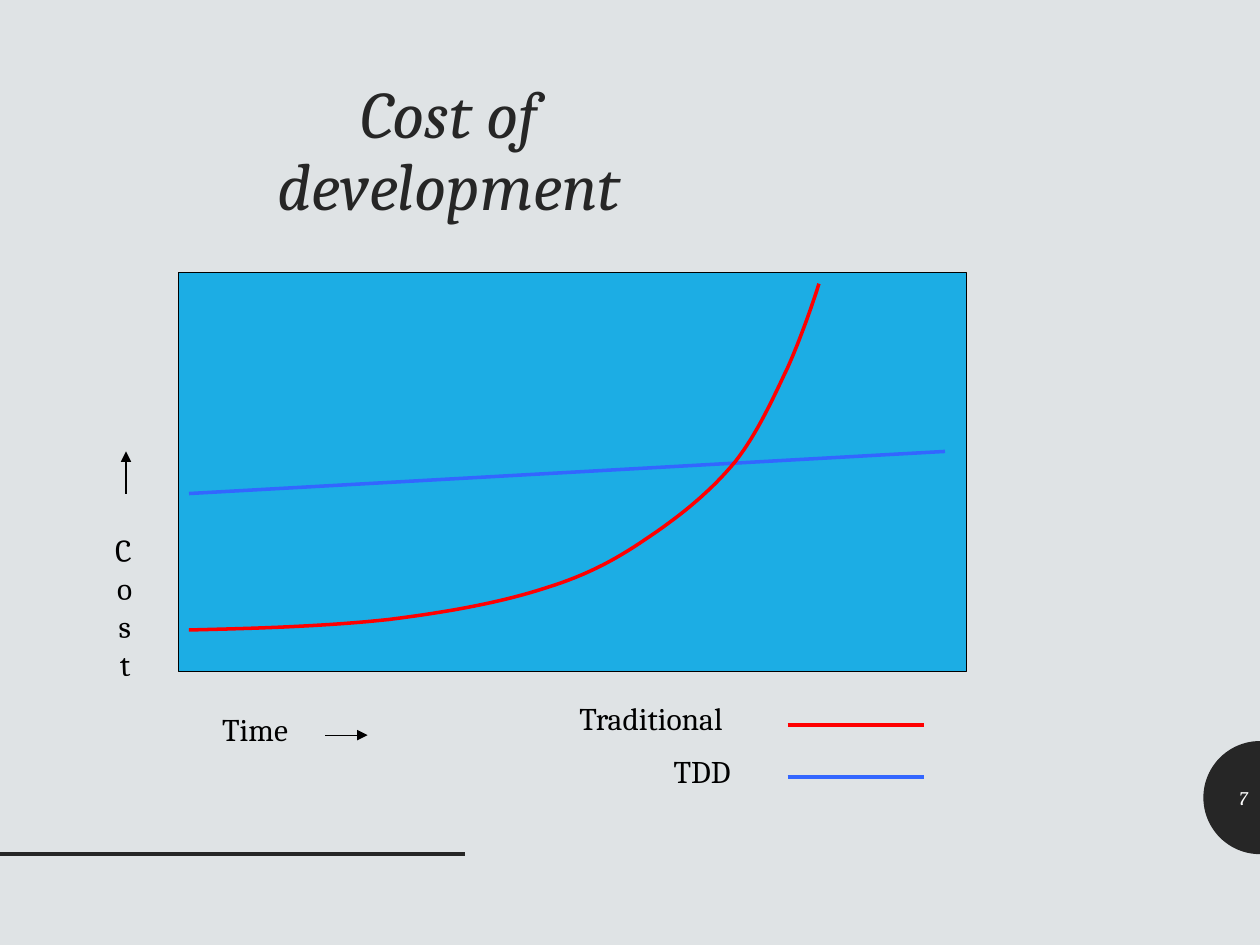
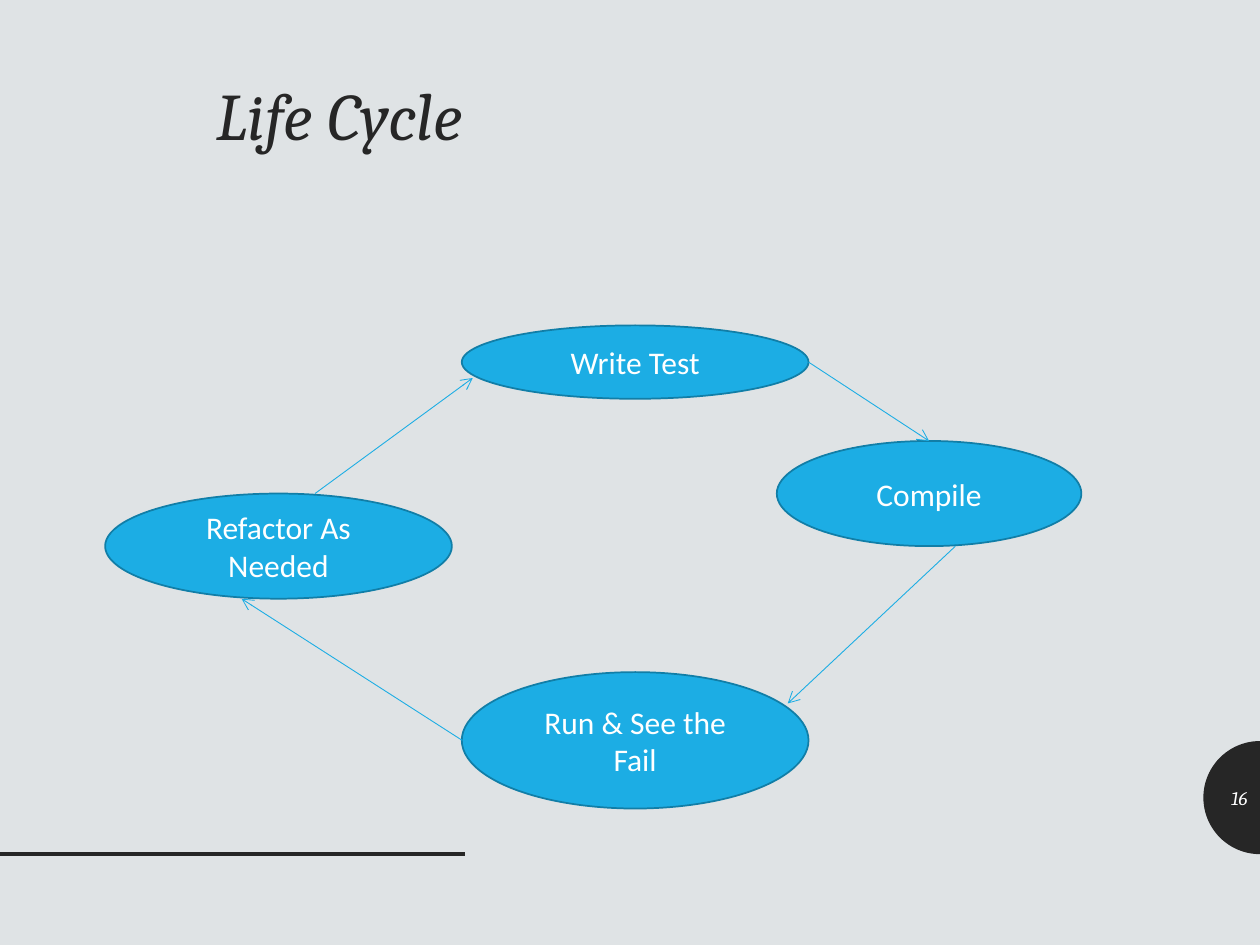
from math import cos, pi, sin

from lxml.etree import SubElement
from pptx import Presentation
from pptx.dml.color import RGBColor
from pptx.enum.shapes import MSO_CONNECTOR as CONN, MSO_SHAPE as SHAPE
from pptx.enum.text import MSO_ANCHOR as ANCHOR, PP_ALIGN as ALIGN
from pptx.oxml.ns import qn
from pptx.util import Cm, Pt

rgb = RGBColor.from_string
PAPER, INK, BLACK, WHITE = "DFE3E5", "262626", "000000", "FFFFFF"
SKY, RIM, RED, BLUE = "1CADE4", "117EA7", "FF0000", "3366FF"
TITLE = {"size": Pt(38), "name": "Cambria", "italic": True}
NUMBER = {"size": Pt(11), "name": "Cambria", "italic": True}
LABEL = {"size": Pt(18), "name": "Cambria"}
STEP = {"size": Pt(18), "name": "Calibri"}


def write(sp, text, fmt, color, align=ALIGN.LEFT, anchor=ANCHOR.TOP):
    tf = sp.text_frame
    tf.word_wrap = True
    tf.vertical_anchor = anchor
    p = tf.paragraphs[0]
    p.alignment = align
    r = p.add_run()
    r.text = text
    for key, value in fmt.items():
        setattr(r.font, key, value)
    r.font.color.rgb = rgb(color)
    return p


def draw_line(s, ends, color, width, head=None):
    c = s.shapes.add_connector(CONN.STRAIGHT, *map(Cm, ends))
    c.line.color.rgb = rgb(color)
    c.line.width = Pt(width)
    spPr = c._element.spPr
    if head:
        SubElement(spPr.find(qn("a:ln")), qn("a:tailEnd"), type=head)
    SubElement(spPr, qn("a:effectLst"))


prs = Presentation()
prs.slide_width, prs.slide_height = Cm(25.4), Cm(19.05)

pages = [
    ("Cost of development", "7", (3.81, 1.52, 10.49, 3.3), ALIGN.CENTER),
    ("Life Cycle", "16", (1.6, 1.55, 7.98, 13.74), ALIGN.RIGHT),
]
radius, disc_y = 1.14, 16.08
arc = [(Cm(25.4 - radius * sin(pi * i / 48)), Cm(disc_y + radius * cos(pi * i / 48)))
       for i in range(49)]
for title, number, box, align in pages:
    s = prs.slides.add_slide(prs.slide_layouts[6])
    s.background.fill.solid()
    s.background.fill.fore_color.rgb = rgb(PAPER)
    fb = s.shapes.build_freeform(*arc[0])
    fb.add_line_segments(arc[1:], close=True)
    disc = fb.convert_to_shape()
    disc.shadow.inherit = False
    disc.fill.solid()
    disc.fill.fore_color.rgb = rgb(INK)
    disc.line.fill.background()
    draw_line(s, (0, 17.22, 9.37, 17.22), INK, 2)
    p = write(s.shapes.add_textbox(*map(Cm, box)), title, TITLE, INK, align)
    p.line_spacing = 0.9
    sp = s.shapes.add_textbox(Cm(24.26), Cm(15.57), Cm(radius), Cm(1.02))
    write(sp, number, NUMBER, WHITE, ALIGN.RIGHT, ANCHOR.MIDDLE)

cost, cycle = prs.slides

plot = cost.shapes.add_shape(SHAPE.RECTANGLE, Cm(3.6), Cm(5.5), Cm(15.88), Cm(8.04))
plot.shadow.inherit = False
plot.fill.solid()
plot.fill.fore_color.rgb = rgb(SKY)
plot.line.color.rgb = rgb(BLACK)
plot.line.width = Pt(0.75)

labels = [
    ("Time", (4.23, 14.18, 5.54, 1.02), 0),
    ("Cost", (2.12, 10.58, 0.85, 3.3), -2.3),
    ("Traditional", (11.43, 13.97, 4.23, 1.02), 0),
    ("TDD", (13.33, 15.03, 2.12, 1.02), 0),
]
for text, box, angle in labels:
    sp = cost.shapes.add_textbox(*map(Cm, box))
    sp.rotation = angle
    write(sp, text, LABEL, BLACK)

draw_line(cost, (3.81, 9.95, 19.05, 9.1), BLUE, 2)
for axis in [(2.54, 9.95, 2.54, 9.1), (6.56, 14.82, 7.41, 14.82)]:
    draw_line(cost, axis, BLACK, 0.75, "triangle")
for y, color in [(14.61, RED), (15.66, BLUE)]:
    draw_line(cost, (15.88, y, 18.63, y), color, 2)

knots = [
    (3.81, 12.7), (5.23, 12.67), (6.63, 12.62), (7.83, 12.49),
    (9.04, 12.34), (10.13, 12.14), (11.01, 11.85),
    (11.89, 11.58), (12.5, 11.23), (13.12, 10.8),
    (13.77, 10.36), (14.35, 9.88), (14.82, 9.31),
    (15.27, 8.74), (15.6, 8), (15.88, 7.41),
    (16.15, 6.81), (16.43, 5.99), (16.51, 5.72),
]
points = []
for i in range(0, len(knots) - 1, 3):
    for t in [n / 16 for n in range(1, 17)]:
        weights = ((1 - t) ** 3, 3 * t * (1 - t) ** 2, 3 * t ** 2 * (1 - t), t ** 3)
        points.append([Cm(sum(w * k for w, k in zip(weights, axis)))
                       for axis in zip(*knots[i:i + 4])])
fb = cost.shapes.build_freeform(*map(Cm, knots[0]))
fb.add_line_segments(points, close=False)
curve = fb.convert_to_shape()
curve.shadow.inherit = False
curve.fill.background()
curve.line.color.rgb = rgb(RED)
curve.line.width = Pt(2)

steps = [
    ("Write Test", (9.31, 6.56, 6.99, 1.48)),
    ("Compile", (15.66, 8.89, 6.14, 2.12)),
    ("Run & See the Fail", (9.31, 13.55, 6.99, 2.75)),
    ("Refactor As Needed", (2.12, 9.95, 6.99, 2.12)),
]
for text, box in steps:
    sp = cycle.shapes.add_shape(SHAPE.OVAL, *map(Cm, box))
    sp.shadow.inherit = False
    sp.fill.solid()
    sp.fill.fore_color.rgb = rgb(SKY)
    sp.line.color.rgb = rgb(RIM)
    sp.line.width = Pt(1)
    write(sp, text, STEP, WHITE, ALIGN.CENTER, ANCHOR.MIDDLE)

arrows = [
    (6.35, 9.95, 9.53, 7.62),
    (16.3, 7.3, 18.73, 8.89),
    (19.26, 11.01, 15.88, 14.18),
    (9.31, 14.92, 4.87, 12.07),
]
for ends in arrows:
    draw_line(cycle, ends, SKY, 0.5, "arrow")

prs.save("out.pptx")
